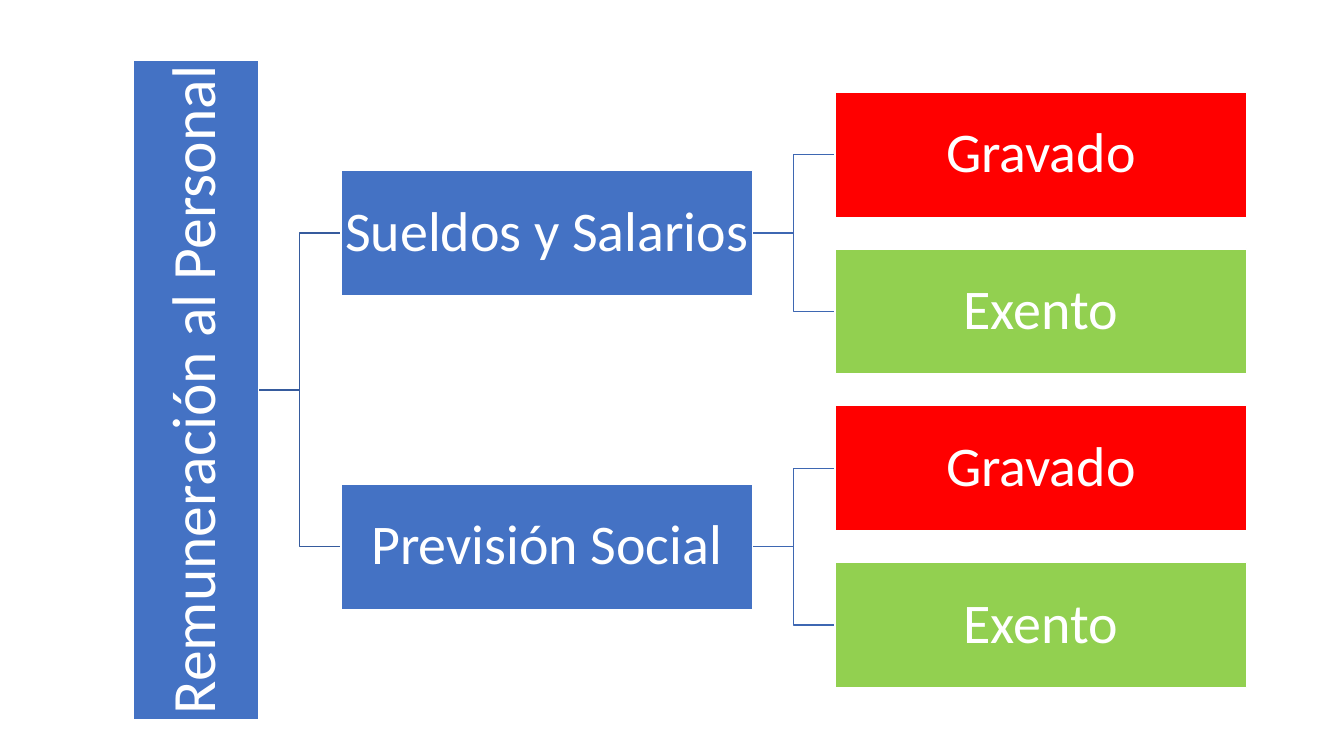
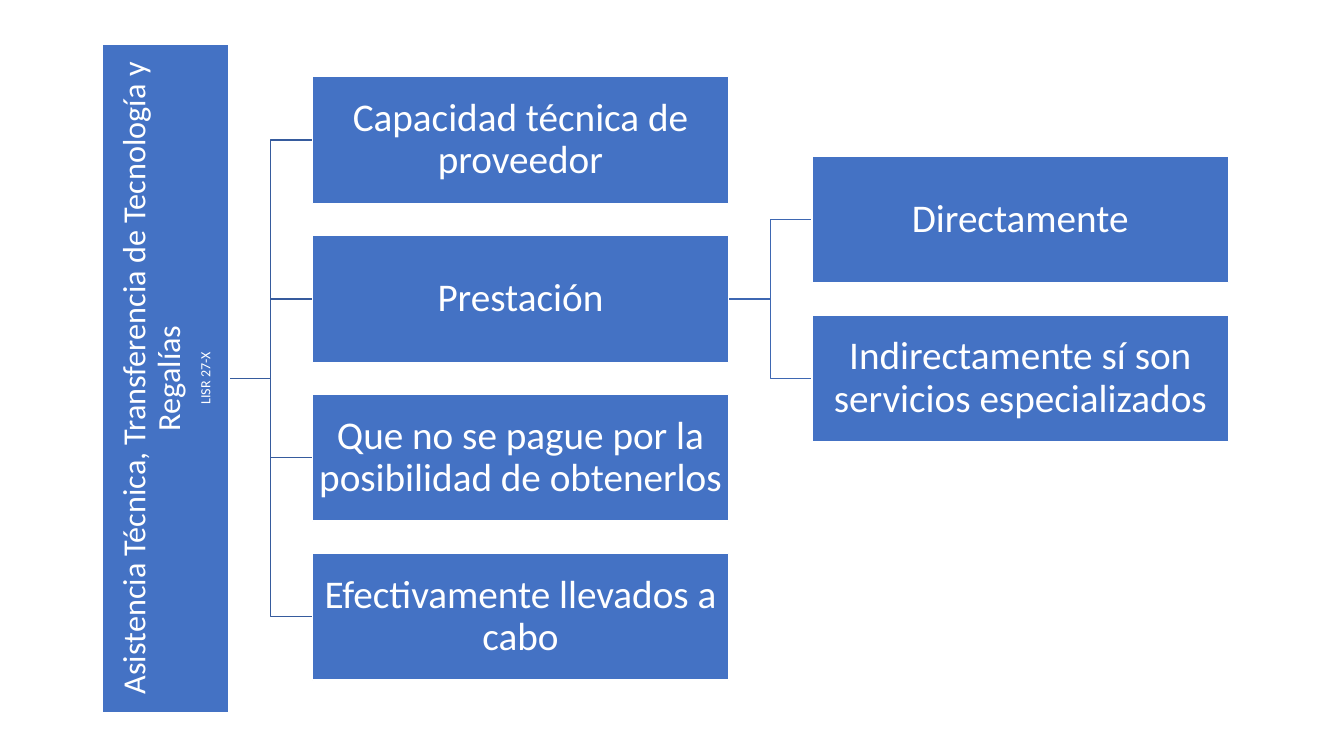
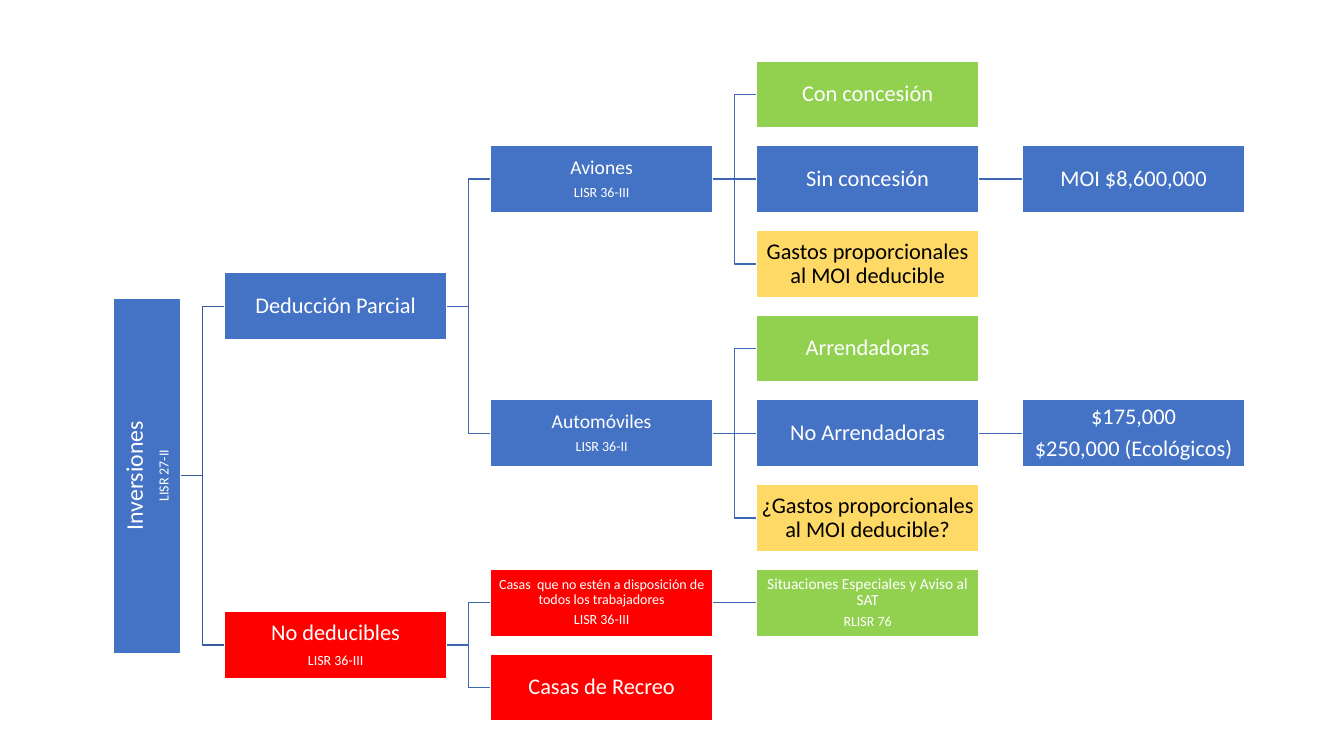
from pptx import Presentation
from pptx.dml.color import RGBColor
from pptx.enum.shapes import MSO_CONNECTOR, MSO_SHAPE
from pptx.enum.text import MSO_ANCHOR, PP_ALIGN
from pptx.oxml.ns import qn
from pptx.util import Pt
from lxml import etree

SCALE = 6350
FONT = "Calibri"
COLORS = {
    "blue": "4472C4",
    "red": "FF0000",
    "green": "92D050",
    "yellow": "FFD966",
    "white": "FFFFFF",
    "black": "000000",
    "root_line": "365B9D",
    "branch_line": "3E67B2",
}


def px(value):
    return round(value * SCALE)


def color(name):
    return RGBColor.from_string(COLORS[name])


# node: parent index, column, row, fill, [(text, size), ...]
TREES = [
    {
        "left": 190, "first_row": 221, "pitch": 224, "width": 588, "height": 179,
        "gap": 118, "root_length": 943, "inset": 4,
        "nodes": [
            (None, 0, 1.5, "blue", [("Remuneración al Personal", 44)]),
            (0, 1, 0.5, "blue", [("Sueldos y Salarios", 40)]),
            (1, 2, 0, "red", [("Gravado", 40)]),
            (1, 2, 1, "green", [("Exento", 40)]),
            (0, 1, 2.5, "blue", [("Previsión Social", 40)]),
            (4, 2, 2, "red", [("Gravado", 40)]),
            (4, 2, 3, "green", [("Exento", 40)]),
        ],
    },
    {
        "left": 146, "first_row": 200, "pitch": 227, "width": 595, "height": 181,
        "gap": 119, "root_length": 955, "inset": 3,
        "nodes": [
            (None, 0, 1.5, "blue", [
                ("Asistencia Técnica, Transferencia de Tecnología y Regalías", 23),
                ("LISR 27-X", 10)]),
            (0, 1, 0, "blue", [("Capacidad técnica de proveedor", 28)]),
            (0, 1, 1, "blue", [("Prestación", 28)]),
            (2, 2, 0.5, "blue", [("Directamente", 28)]),
            (2, 2, 1.5, "blue", [("Indirectamente sí son servicios especializados", 28)]),
            (0, 1, 2, "blue", [("Que no se pague por la posibilidad de obtenerlos", 28)]),
            (0, 1, 3, "blue", [("Efectivamente llevados a cabo", 28)]),
        ],
    },
    {
        "left": 162, "first_row": 135, "pitch": 121, "width": 317, "height": 96,
        "gap": 63, "root_length": 508, "inset": 2,
        "nodes": [
            (None, 0, 4.5, "blue", [("Inversiones", 17), ("LISR 27-II", 10)]),
            (0, 1, 2.5, "blue", [("Deducción Parcial", 16)]),
            (1, 2, 1, "blue", [("Aviones", 14), ("LISR 36-III", 10)]),
            (2, 3, 0, "green", [("Con concesión", 16)]),
            (2, 3, 1, "blue", [("Sin concesión", 16)]),
            (4, 4, 1, "blue", [("MOI $8,600,000", 16)]),
            (2, 3, 2, "yellow", [("Gastos proporcionales al MOI deducible", 16)]),
            (1, 2, 4, "blue", [("Automóviles", 14), ("LISR 36-II", 10)]),
            (7, 3, 3, "green", [("Arrendadoras", 16)]),
            (7, 3, 4, "blue", [("No Arrendadoras", 16)]),
            (9, 4, 4, "blue", [("$175,000", 16), ("$250,000 (Ecológicos)", 16)]),
            (7, 3, 5, "yellow", [("¿Gastos proporcionales al MOI deducible?", 16)]),
            (0, 1, 6.5, "red", [("No deducibles", 16), ("LISR 36-III", 10)]),
            (12, 2, 6, "red", [
                ("Casas  que no estén a disposición de todos los trabajadores", 10),
                ("LISR 36-III", 10)]),
            (13, 3, 6, "green", [
                ("Situaciones Especiales y Aviso al SAT", 11), ("RLISR 76", 10)]),
            (12, 2, 7, "red", [("Casas de Recreo", 16)]),
        ],
    },
]

presentation = Presentation()
presentation.slide_width = px(1920)
presentation.slide_height = px(1080)

for tree in TREES:
    slide = presentation.slides.add_slide(presentation.slide_layouts[6])
    width, height, gap = tree["width"], tree["height"], tree["gap"]
    first_column = tree["left"] + height + gap

    boxes = []
    for parent, column, row, fill, lines in tree["nodes"]:
        center = tree["first_row"] + row * tree["pitch"]
        if column == 0:
            boxes.append((tree["left"], tree["left"] + height, center))
        else:
            left = first_column + (column - 1) * (width + gap)
            boxes.append((left, left + width, center))

    for (left, right, center), (parent, column, *rest) in zip(boxes, tree["nodes"]):
        if parent is None:
            continue
        parent_left, parent_right, parent_center = boxes[parent]
        kind = MSO_CONNECTOR.STRAIGHT if center == parent_center else MSO_CONNECTOR.ELBOW
        connector = slide.shapes.add_connector(
            kind, px(parent_right), px(parent_center), px(left), px(center))
        connector.line.color.rgb = color("root_line" if column == 1 else "branch_line")
        connector.line.width = Pt(1)
        etree.SubElement(connector._element.spPr, qn("a:effectLst"))

    for (left, right, center), (parent, column, row, fill, lines) in zip(boxes, tree["nodes"]):
        length = tree["root_length"] if column == 0 else width
        shape = slide.shapes.add_shape(
            MSO_SHAPE.RECTANGLE, px((left + right - length) / 2), px(center - height / 2),
            px(length), px(height))
        shape.rotation = 270 if column == 0 else 0
        shape.shadow.inherit = False
        shape.fill.solid()
        shape.fill.fore_color.rgb = color(fill)
        shape.line.color.rgb = color("white")
        shape.line.width = Pt(1)

        frame = shape.text_frame
        frame.word_wrap = True
        frame.vertical_anchor = MSO_ANCHOR.MIDDLE
        frame.margin_left = frame.margin_right = px(tree["inset"])
        frame.margin_top = frame.margin_bottom = px(tree["inset"])
        for index, (text, size) in enumerate(lines):
            paragraph = frame.add_paragraph() if index else frame.paragraphs[0]
            paragraph.alignment = PP_ALIGN.CENTER
            paragraph.line_spacing = 0.9
            paragraph.space_after = Pt(size * 0.35)
            run = paragraph.add_run()
            run.text = text
            run.font.name = FONT
            run.font.size = Pt(size)
            run.font.color.rgb = color("black" if fill == "yellow" else "white")

presentation.save("out.pptx")
